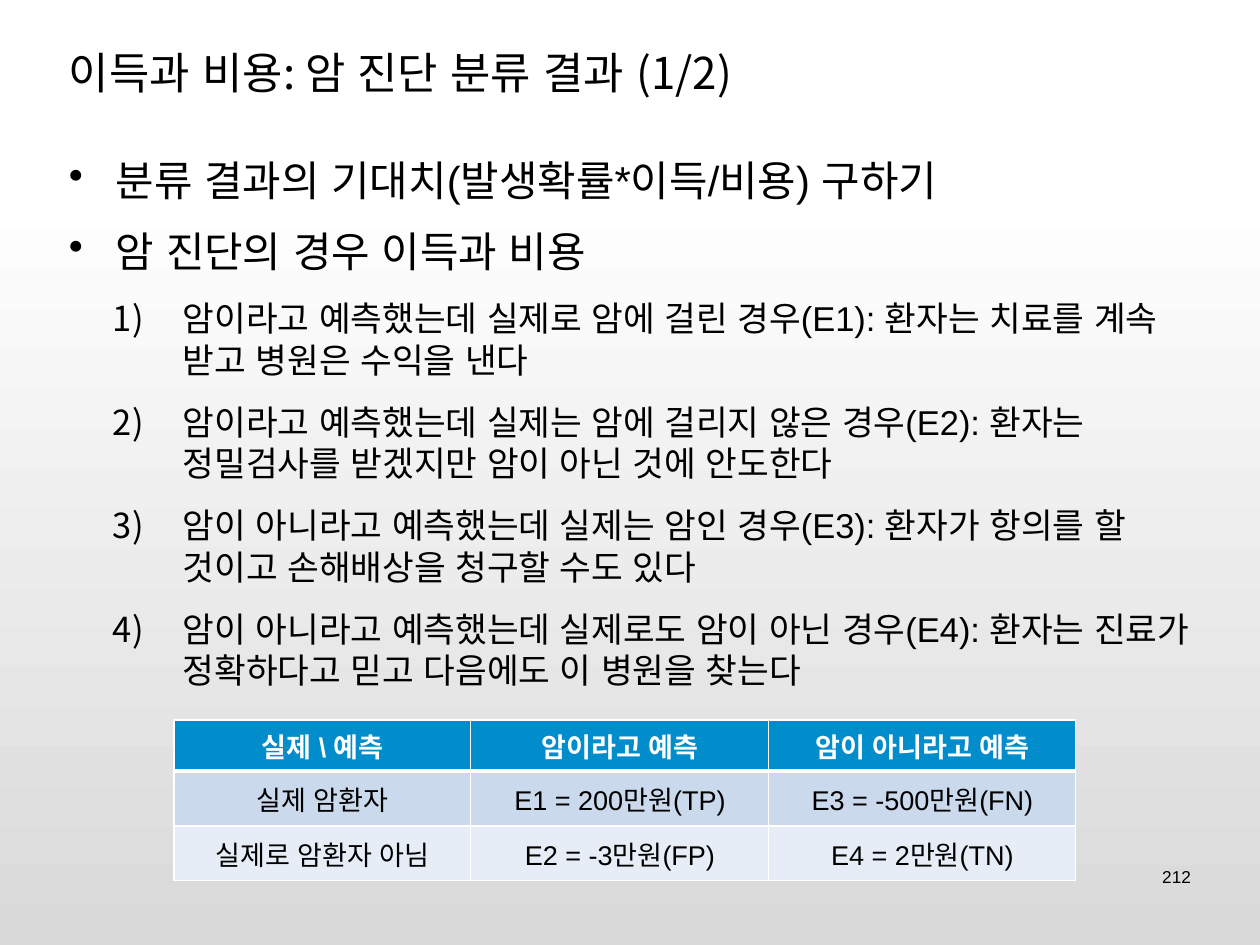
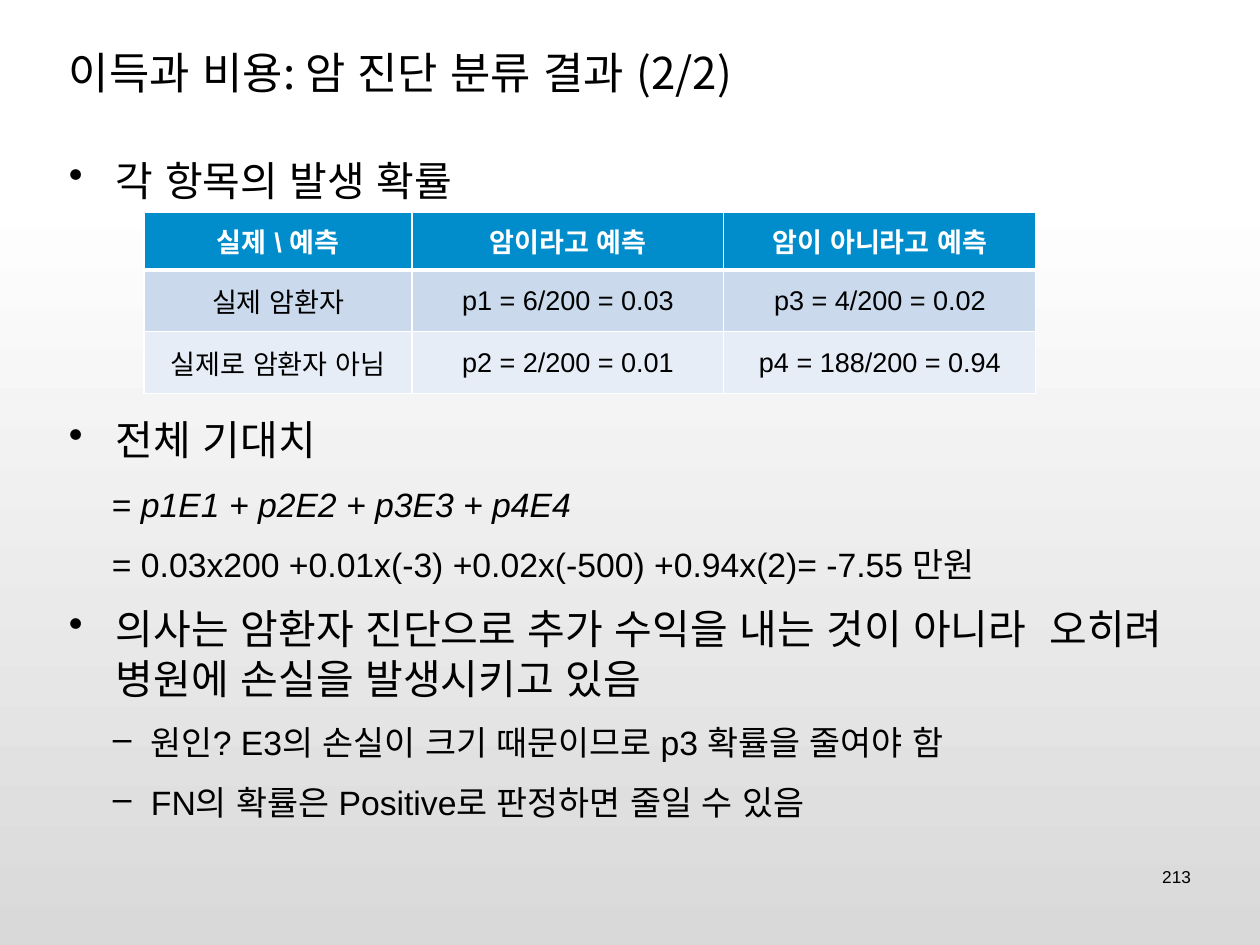
import pptx
import pptx.util
import pptx.dml.color
import pptx.enum.lang
import pptx.enum.text
import pptx.oxml
import pptx.oxml.ns

RGB = pptx.dml.color.RGBColor
BLACK = RGB(0x00, 0x00, 0x00)
WHITE = RGB(0xFF, 0xFF, 0xFF)
GREY = RGB(0xD9, 0xD9, 0xD9)
BLUE = RGB(0x01, 0x8C, 0xCB)
PALE = RGB(0xCA, 0xDA, 0xEC)
LIGHT = RGB(0xE6, 0xED, 0xF6)
SANS = "Arial"
HANGUL = "Noto Sans CJK KR"
PX = 914400 / 88.6
Pt = pptx.util.Pt
ALIGN = pptx.enum.text.PP_ALIGN
MIDDLE = pptx.enum.text.MSO_ANCHOR.MIDDLE
NS = pptx.oxml.ns.nsdecls("a")


def px(*vals):
    return [pptx.util.Emu(round(v * PX)) for v in vals]


def write(par, text, size, color=BLACK, face=SANS, bold=False, slant=False):
    run = par.add_run()
    run.text = text
    font = run.font
    font.size, font.name, font.bold, font.italic = Pt(size), face, bold, slant
    font.color.rgb = color
    font.language_id = pptx.enum.lang.MSO_LANGUAGE_ID.KOREAN
    font._element.append(pptx.oxml.parse_xml(f'<a:ea {NS} typeface="{HANGUL}"/>'))


# Paragraph kinds: left margin, first-line indent, bullet
DOT = f'<a:buChar {NS} char="•"/>'
DASH = f'<a:buChar {NS} char="–"/>'
COUNT = f'<a:buAutoNum {NS} type="arabicParenR"/>'
NONE = f'<a:buNone {NS}/>'
KINDS = {"dot": (47, -47, DOT), "num": (114, -70, COUNT),
         "sum": (0, 43, NONE), "dash": (82, -38, DASH)}

# Both tables share the header row and the first column
HEAD = ["실제 \\ 예측", "암이라고 예측", "암이 아니라고 예측"]
SICK, WELL = "실제 암환자", "실제로 암환자 아님"

# Paragraphs: kind, space before, runs as (text, italic)
PAGES = [
    dict(
        part="1/2", num="212", wide=1153, sizes=(34, 28),
        body=[
            ("dot", 0, [("분류 결과의 기대치(발생확률*이득/비용) 구하기", False)]),
            ("dot", 17, [("암 진단의 경우 이득과 비용", False)]),
            ("num", 17, [("암이라고 예측했는데 실제로 암에 걸린 경우(E1): 환자는 치료를 계속 "
                          "받고 병원은 수익을 낸다", False)]),
            ("num", 17, [("암이라고 예측했는데 실제는 암에 걸리지 않은 경우(E2): 환자는 "
                          "정밀검사를 받겠지만 암이 아닌 것에 안도한다", False)]),
            ("num", 17, [("암이 아니라고 예측했는데 실제는 암인 경우(E3): 환자가 항의를 할 "
                          "것이고 손해배상을 청구할 수도 있다", False)]),
            ("num", 17, [("암이 아니라고 예측했는데 실제로도 암이 아닌 경우(E4): 환자는 진료가 "
                          "정확하다고 믿고 다음에도 이 병원을 찾는다", False)]),
        ],
        spot=(174, 720), cols=(297, 298, 307), rows=(51, 55, 55),
        cells=[HEAD,
               [SICK, "E1 = 200만원(TP)", "E3 = -500만원(FN)"],
               [WELL, "E2 = -3만원(FP)", "E4 = 2만원(TN)"]]),
    dict(
        part="2/2", num="213", wide=1134, sizes=(33.3, 27.4),
        body=[
            ("dot", 0, [("각 항목의 발생 확률", False)]),
            ("dot", 171, [("전체 기대치", False)]),
            ("sum", 16, [("= ", False), ("p1E1 + p2E2 + p3E3 + p4E4", True)]),
            ("sum", 16, [("= 0.03x200 +0.01x(-3) +0.02x(-500) +0.94x(2)= -7.55 만원", False)]),
            ("dot", 16, [("의사는 암환자 진단으로 추가 수익을 내는 것이 아니라  오히려 "
                          "병원에 손실을 발생시키고 있음", False)]),
            ("dash", 16, [("원인? E3의 손실이 크기 때문이므로 p3 확률을 줄여야 함", False)]),
            ("dash", 16, [("FN의 확률은 Positive로 판정하면 줄일 수 있음", False)]),
        ],
        spot=(144, 212), cols=(268, 312, 312), rows=(58, 62, 62),
        cells=[HEAD,
               [SICK, "p1 = 6/200 = 0.03", "p3 = 4/200 = 0.02"],
               [WELL, "p2 = 2/200 = 0.01", "p4 = 188/200 = 0.94"]]),
]

prs = pptx.Presentation()
prs.slide_width, prs.slide_height = px(1260, 945)

# Shared background
back = prs.slide_master.background.fill
back.gradient()
back.gradient_angle = 270
for stop, spot, color in zip(back.gradient_stops, (0.2, 1), (WHITE, GREY)):
    stop.position, stop.color.rgb = spot, color

for page in PAGES:
    slide = prs.slides.add_slide(prs.slide_layouts[5])

    # Title
    title = slide.shapes.title
    title.left, title.top, title.width, title.height = px(63, 38, 1134, 67)
    frame = title.text_frame
    frame.vertical_anchor = MIDDLE
    frame.margin_left, frame.margin_right = px(6, 6)
    frame.margin_top, frame.margin_bottom = px(6, 6)
    par = frame.paragraphs[0]
    par.alignment = ALIGN.LEFT
    write(par, f"이득과 비용: 암 진단 분류 결과 ({page['part']})", 35.6, face=HANGUL)

    # Body text
    frame = slide.shapes.add_textbox(*px(63, 145, page["wide"], 699)).text_frame
    frame.word_wrap = True
    frame.margin_left, frame.margin_right = px(6, 6)
    frame.margin_top, frame.margin_bottom = px(10, 6)
    for i, (kind, gap, runs) in enumerate(page["body"]):
        par = frame.add_paragraph() if i else frame.paragraphs[0]
        left, first, mark = KINDS[kind]
        size = page["sizes"][kind != "dot"]
        props = par._p.get_or_add_pPr()
        props.set("marL", str(px(left)[0]))
        props.set("indent", str(px(first)[0]))
        props.append(pptx.oxml.parse_xml(mark))
        par.line_spacing = Pt(round(size * 1.2, 1))
        par.space_before = Pt(gap)
        for text, slant in runs:
            write(par, text, size, slant=slant)

    # Table
    cols, rows = page["cols"], page["rows"]
    table = slide.shapes.add_table(
        len(rows), len(cols), *px(*page["spot"], sum(cols), sum(rows))).table
    for col, wide in zip(table.columns, cols):
        col.width = px(wide)[0]
    for r, (row, high) in enumerate(zip(table.rows, rows)):
        row.height = px(high)[0]
        for cell, text in zip(row.cells, page["cells"][r]):
            cell.vertical_anchor = MIDDLE
            cell.margin_left, cell.margin_right = px(2, 2)
            cell.margin_top, cell.margin_bottom = px(2, 2)
            for side in "LRTB":
                thick = (r, side) in ((0, "B"), (1, "T"))
                cell._tc.get_or_add_tcPr().append(pptx.oxml.parse_xml(
                    f'<a:ln{side} {NS} w="{Pt(4 if thick else 1)}"><a:solidFill>'
                    f'<a:srgbClr val="{WHITE}"/></a:solidFill></a:ln{side}>'))
            cell.fill.solid()
            cell.fill.fore_color.rgb = (BLUE, PALE, LIGHT)[r]
            par = cell.text_frame.paragraphs[0]
            par.alignment = ALIGN.CENTER
            write(par, text, 22, BLACK if r else WHITE, bold=r == 0)

    # Page number
    frame = slide.shapes.add_textbox(*px(1154, 860, 43, 32)).text_frame
    frame.word_wrap = False
    frame.margin_left, frame.margin_right = px(6, 6)
    frame.margin_top, frame.margin_bottom = px(6, 6)
    par = frame.paragraphs[0]
    par.alignment = ALIGN.RIGHT
    write(par, page["num"], 14)

prs.save("out.pptx")
